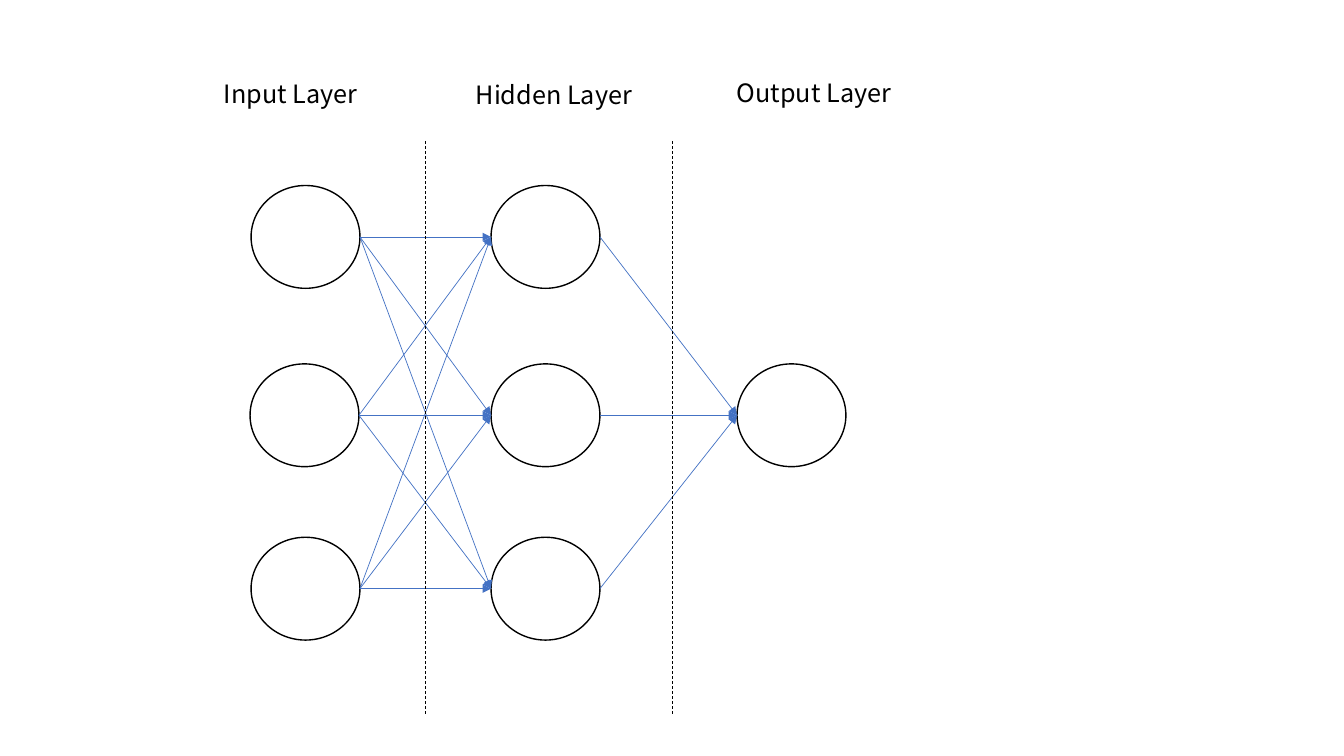
"""Build a slide showing a neural network with input, hidden and output layers."""
from pptx import Presentation
from pptx import util as u
from pptx.dml.color import RGBColor
from pptx.enum import dml, shapes, text
from pptx.oxml.ns import qn
from lxml import etree

PX = 9144
BLACK = RGBColor(0x00, 0x00, 0x00)
WHITE = RGBColor(0xFF, 0xFF, 0xFF)
BLUE = RGBColor(0x44, 0x72, 0xC4)
FONT = {"name": "Noto Sans CJK SC", "size": u.Pt(18)}
FRAME = {"word_wrap": True, "auto_size": text.MSO_AUTO_SIZE.SHAPE_TO_FIT_TEXT}
NODE_WIDTH, NODE_HEIGHT = 108, 102
TOP_ROW, MIDDLE_ROW, BOTTOM_ROW = 184, 361, 533

INPUTS = [(249, TOP_ROW), (248, MIDDLE_ROW), (249, BOTTOM_ROW)]
HIDDEN = [(487, TOP_ROW), (487, MIDDLE_ROW), (487, BOTTOM_ROW)]
OUTPUTS = [(731, MIDDLE_ROW)]
LABELS = [("Input Layer", 212, 73), ("Hidden Layer", 462, 74), ("Output Layer", 721, 72)]
DIVIDERS = [422, 667]

presentation = Presentation()
presentation.slide_width, presentation.slide_height = 1333 * PX, 750 * PX
slide = presentation.slides.add_slide(presentation.slide_layouts[6])


def add_line(start, end, color):
    """Add a thin straight connector without a shadow."""
    ends = [value * PX for value in (*start, *end)]
    connector = slide.shapes.add_connector(shapes.MSO_CONNECTOR.STRAIGHT, *ends)
    connector.line.color.rgb = color
    connector.line.width = u.Pt(0.5)
    etree.SubElement(connector._element.spPr, qn("a:effectLst"))
    return connector


for left, top in INPUTS + HIDDEN + OUTPUTS:
    box = [value * PX for value in (left, top, NODE_WIDTH, NODE_HEIGHT)]
    node = slide.shapes.add_shape(shapes.MSO_SHAPE.OVAL, *box)
    node.shadow.inherit = False
    node.fill.solid()
    node.fill.fore_color.rgb = WHITE
    node.line.color.rgb = BLACK
    node.line.width = u.Pt(1)

for label, left, top in LABELS:
    box = [value * PX for value in (left, top, 180, 40)]
    frame = slide.shapes.add_textbox(*box).text_frame
    for name, value in FRAME.items():
        setattr(frame, name, value)
    run = frame.paragraphs[0].add_run()
    run.text = label
    for name, value in FONT.items():
        setattr(run.font, name, value)
    run.font.color.rgb = BLACK

for sources, targets in [(INPUTS, HIDDEN), (HIDDEN, OUTPUTS)]:
    for source_left, source_top in sources:
        for target_left, target_top in targets:
            start = (source_left + NODE_WIDTH, source_top + NODE_HEIGHT // 2)
            end = (target_left, target_top + NODE_HEIGHT // 2)
            arrow = add_line(start, end, BLUE)
            etree.SubElement(arrow.line._get_or_add_ln(), qn("a:tailEnd"), type="triangle")

for x in DIVIDERS:
    divider = add_line((x, 140), (x, 709), BLACK)
    divider.line.dash_style = dml.MSO_LINE.DASH

presentation.save("out.pptx")
